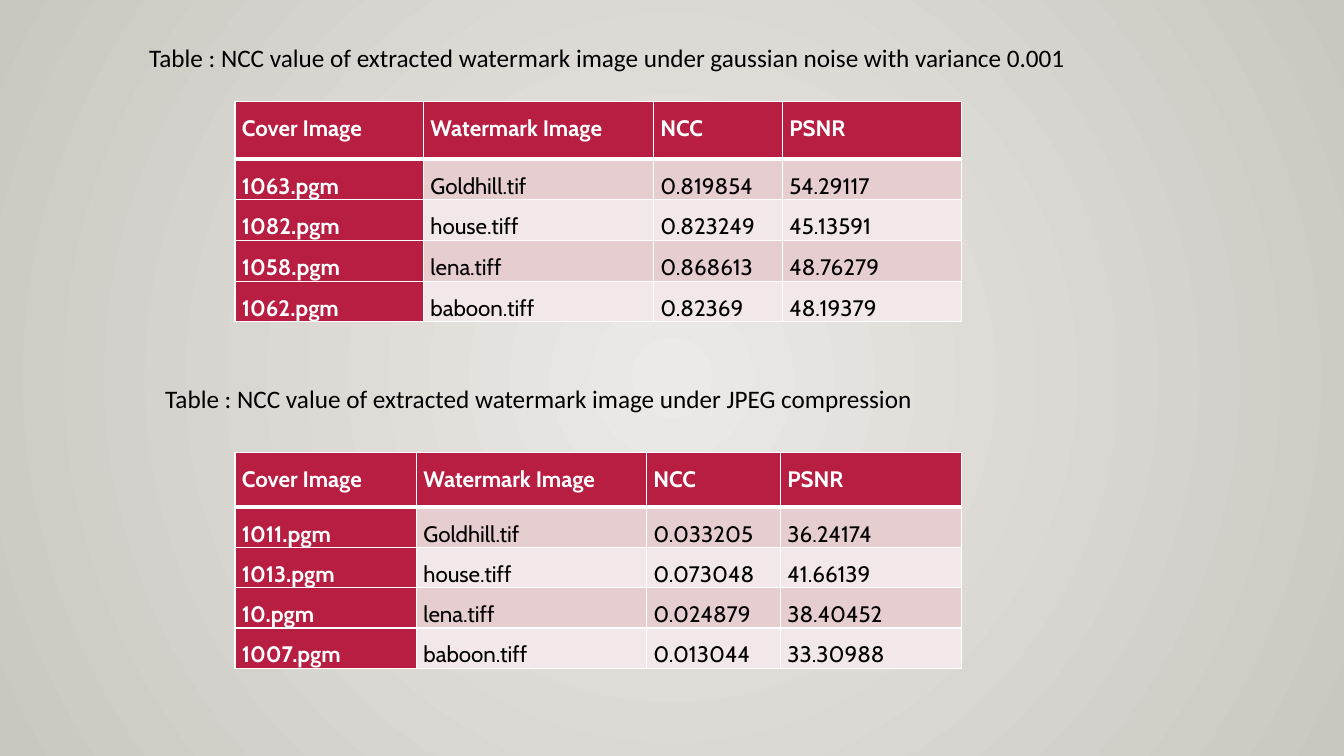
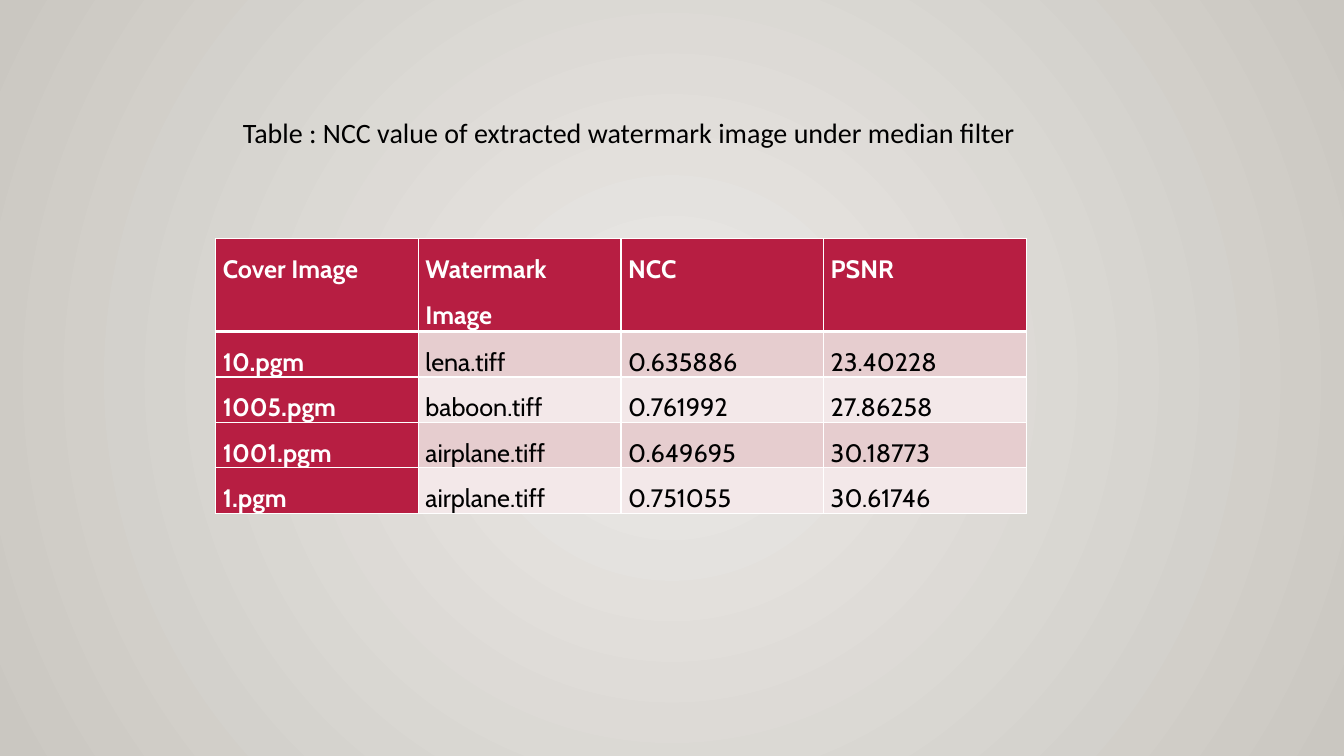
"""Build two slides of NCC and PSNR result tables."""
from lxml.etree import SubElement
from pptx import Presentation
from pptx.dml.color import RGBColor
from pptx.enum.text import MSO_ANCHOR, MSO_AUTO_SIZE, PP_ALIGN
from pptx.oxml.ns import qn
from pptx.util import Inches, Pt

COLORS = {
    "center": "ECEAE7",
    "edge": "CAC7C1",
    "accent": "B71E42",
    "odd_row": "E6CDCF",
    "even_row": "F3E8E9",
    "white": "FFFFFF",
    "black": "000000",
}
HEADINGS = ["Cover Image", "Watermark Image", "NCC", "PSNR"]
SLIDES = [
    [
        {
            "caption": "Table : NCC value of extracted watermark image under gaussian noise with variance 0.001",
            "caption_box": (1.38, 0.37, 9.72, 0.4),
            "caption_size": 18,
            "position": (2.33, 1.01),
            "columns": [1.87, 2.28, 1.28, 1.78],
            "heights": (0.57, 0.34),
            "size": 16,
            "rows": [
                ["1063.pgm", "Goldhill.tif", "0.819854", "54.29117"],
                ["1082.pgm", "house.tiff", "0.823249", "45.13591"],
                ["1058.pgm", "lena.tiff", "0.868613", "48.76279"],
                ["1062.pgm", "baboon.tiff", "0.82369", "48.19379"],
            ],
        },
        {
            "caption": "Table : NCC value of extracted watermark image under JPEG compression",
            "caption_box": (1.54, 3.75, 7.7, 0.4),
            "caption_size": 18,
            "position": (2.33, 4.49),
            "columns": [1.8, 2.28, 1.33, 1.8],
            "heights": (0.54, 0.38),
            "size": 16,
            "rows": [
                ["1011.pgm", "Goldhill.tif", "0.033205", "36.24174"],
                ["1013.pgm", "house.tiff", "0.073048", "41.66139"],
                ["10.pgm", "lena.tiff", "0.024879", "38.40452"],
                ["1007.pgm", "baboon.tiff", "0.013044", "33.30988"],
            ],
        },
    ],
    [
        {
            "caption": "Table : NCC value of extracted watermark image under median filter",
            "caption_box": (2.31, 1.09, 7.93, 0.44),
            "caption_size": 20,
            "position": (2.14, 2.37),
            "columns": [2.01] * 4,
            "heights": (0.92, 0.4),
            "size": 18,
            "rows": [
                ["10.pgm", "lena.tiff", "0.635886", "23.40228"],
                ["1005.pgm", "baboon.tiff", "0.761992", "27.86258"],
                ["1001.pgm", "airplane.tiff", "0.649695", "30.18773"],
                ["1.pgm", "airplane.tiff", "0.751055", "30.61746"],
            ],
        },
    ],
]


def add_text(paragraph, text, font_name, size, color, bold=False):
    paragraph.alignment = PP_ALIGN.JUSTIFY
    run = paragraph.add_run()
    run.text = text
    run.font.name = font_name
    run.font.size = Pt(size)
    run.font.bold = bold
    run.font.color.rgb = RGBColor.from_string(COLORS[color])


def add_borders(cell, row_index):
    properties = cell._tc.get_or_add_tcPr()
    widths = {
        "a:lnL": 1,
        "a:lnR": 1,
        "a:lnT": 3 if row_index == 1 else 1,
        "a:lnB": 3 if row_index == 0 else 1,
    }
    for tag, width in widths.items():
        line = SubElement(properties, qn(tag), w=str(Pt(width)))
        fill = SubElement(line, qn("a:solidFill"))
        SubElement(fill, qn("a:srgbClr"), val=COLORS["white"])


presentation = Presentation()
presentation.slide_width = Inches(13.33)
presentation.slide_height = Inches(7.5)

master = presentation.slide_master
background = master.background.fill
background.gradient()
for stop, name in zip(background.gradient_stops, ["center", "edge"]):
    stop.color.rgb = RGBColor.from_string(COLORS[name])
gradient = master.element.find(".//" + qn("a:gradFill"))
gradient.remove(gradient.find(qn("a:lin")))
circle = SubElement(gradient, qn("a:path"), path="circle")
SubElement(circle, qn("a:fillToRect"), l="50000", t="50000", r="50000", b="50000")

for results in SLIDES:
    slide = presentation.slides.add_slide(presentation.slide_layouts[6])
    for result in results:
        rows = [HEADINGS] + result["rows"]
        header_height, body_height = result["heights"]
        heights = [header_height] + [body_height] * len(result["rows"])
        left, top = result["position"]
        shape = slide.shapes.add_table(
            len(rows), len(HEADINGS), Inches(left), Inches(top),
            Inches(sum(result["columns"])), Inches(sum(heights)),
        )
        table = shape.table
        for column, width in zip(table.columns, result["columns"]):
            column.width = Inches(width)
        for row_index, values in enumerate(rows):
            table.rows[row_index].height = Inches(heights[row_index])
            for column_index, value in enumerate(values):
                cell = table.cell(row_index, column_index)
                heading = row_index == 0 or column_index == 0
                band = "odd_row" if row_index % 2 else "even_row"
                add_borders(cell, row_index)
                cell.fill.solid()
                cell.fill.fore_color.rgb = RGBColor.from_string(COLORS["accent" if heading else band])
                cell.margin_left = cell.margin_right = Inches(0.07)
                cell.margin_top = cell.margin_bottom = 0
                cell.vertical_anchor = MSO_ANCHOR.BOTTOM if row_index else MSO_ANCHOR.TOP
                paragraph = cell.text_frame.paragraphs[0]
                paragraph.line_spacing = 1.5
                paragraph.space_after = Pt(8)
                add_text(paragraph, value, "Cabin", result["size"], "white" if heading else "black", heading)

        caption = slide.shapes.add_textbox(*map(Inches, result["caption_box"])).text_frame
        caption.word_wrap = False
        caption.auto_size = MSO_AUTO_SIZE.SHAPE_TO_FIT_TEXT
        caption.vertical_anchor = MSO_ANCHOR.MIDDLE
        add_text(caption.paragraphs[0], result["caption"], "Calibri", result["caption_size"], "black")

presentation.save("out.pptx")
